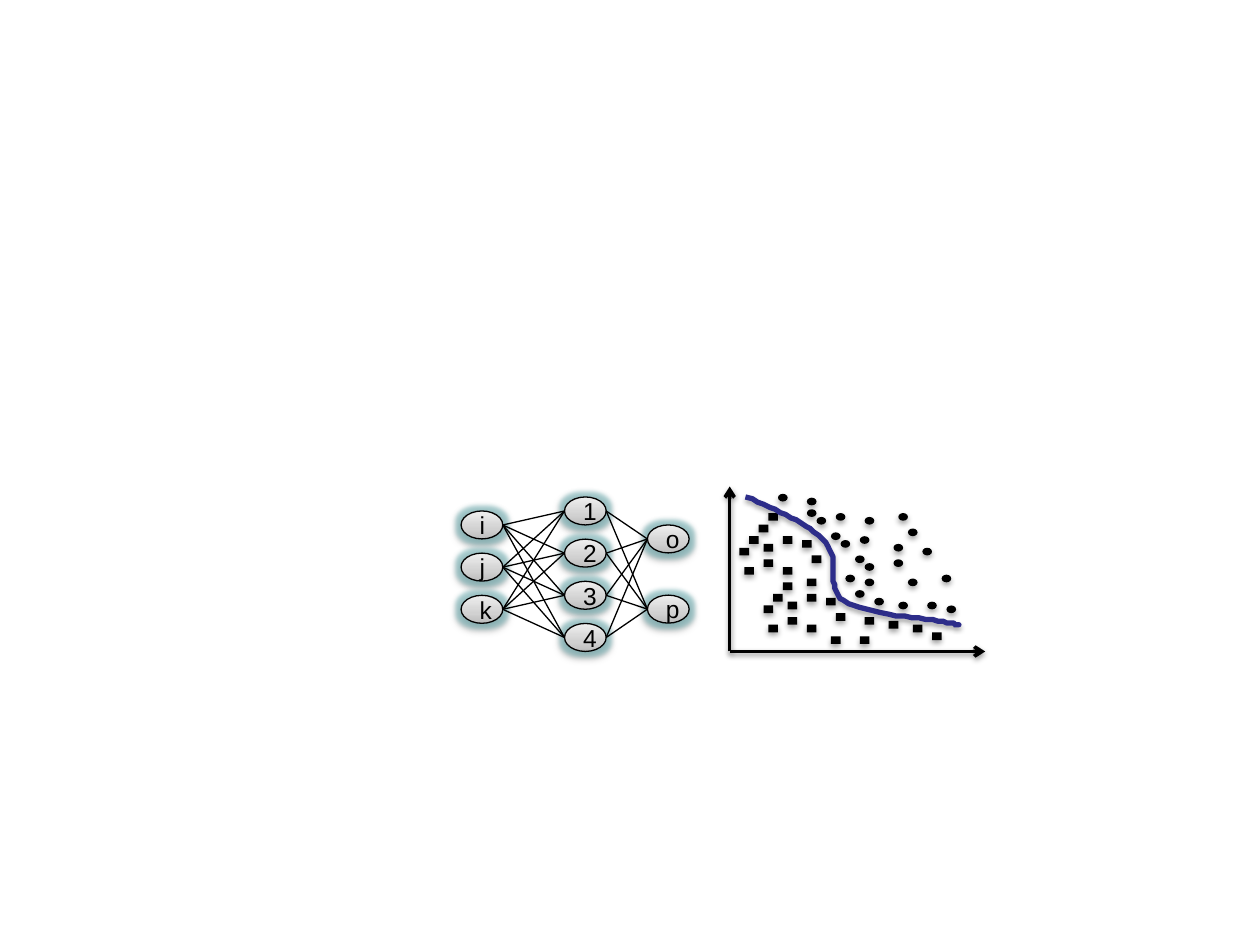
import lxml.etree
import pptx
import pptx.util
from pptx.dml.color import RGBColor
from pptx.enum.shapes import MSO_CONNECTOR, MSO_SHAPE
from pptx.enum.text import MSO_ANCHOR, PP_ALIGN
from pptx.oxml.ns import qn

Pt = pptx.util.Pt
BLACK = RGBColor(0x00, 0x00, 0x00)
CURVE = RGBColor(0x2D, 0x2D, 0x8A)
GLOW = RGBColor(0x7F, 0xBC, 0xC0)
NODE_STOPS = [(0, RGBColor(0xBD, 0xBD, 0xBD)), (35, RGBColor(0xD1, 0xD1, 0xD1)),
              (100, RGBColor(0xEE, 0xEE, 0xEE))]

# Network layers: left, first top, vertical pitch, labels
NODE_W, NODE_H = 23.8, 16
LAYERS = [(263.5, 292, 24.1, "ijk"), (322.6, 284, 24.1, "1234"), (370, 300, 40.1, "op")]

# Scatter points as column and row on a fine grid
GRID_X, GRID_Y, STEP_X, STEP_Y = 422.6, 282.2, 2.75, 2.2
DOT_W, DOT_H = 5.5, 4.4
SQUARES = [(2, 11), (0, 14), (5, 17), (1, 19), (14, 22), (9, 19), (6, 5), (4, 8), (9, 11),
           (5, 13), (13, 12), (15, 16), (7, 26), (5, 29), (10, 32), (6, 34), (19, 37),
           (14, 34), (9, 23), (14, 26), (10, 28), (18, 27), (20, 31), (26, 32), (31, 33),
           (36, 34), (40, 36), (25, 37)]
CIRCLES = [(8, 0), (14, 1), (14, 4), (16, 6), (20, 5), (26, 6), (19, 10), (21, 12), (25, 11),
           (32, 17), (24, 16), (26, 18), (22, 21), (24, 25), (26, 22), (28, 27), (33, 28),
           (39, 28), (43, 29), (32, 13), (35, 22), (42, 21), (38, 14), (35, 9), (33, 5)]

# Boundary: start point, then two control points and an end point per piece
START = (426.2, 283.7)
PIECES = [((444.2, 291.6), (462.2, 299.5), (471.6, 309.6)),
          ((481, 319.7), (470.9, 335.5), (482.4, 343.4)),
          ((493.9, 351.4), (530.6, 353.5), (541.4, 355.7)),
          ((551.5, 357.8), (548.6, 357.1), (545, 357.1))]


def add_color(parent, color, alpha):
    clr = lxml.etree.SubElement(parent, qn("a:srgbClr"), val=str(color))
    if alpha < 100:
        lxml.etree.SubElement(clr, qn("a:alpha"), val=str(alpha * 1000))


def add_effects(sp, shadow=None, glow=False):
    """Set effects; shadow is (opacity in percent, distance in points)."""
    spPr = sp.element.find(qn("p:spPr"))
    for old in spPr.findall(qn("a:effectLst")):
        spPr.remove(old)
    effects = lxml.etree.SubElement(spPr, qn("a:effectLst"))
    if glow:
        add_color(lxml.etree.SubElement(effects, qn("a:glow"), rad=str(Pt(5))), GLOW, 60)
    if shadow:
        alpha, dist = shadow
        outer = lxml.etree.SubElement(effects, qn("a:outerShdw"), blurRad=str(Pt(3.1)),
                                      dist=str(Pt(dist)), dir="5400000", rotWithShape="0")
        add_color(outer, BLACK, alpha)


def set_text(sp, text, size=14, font="Arial", color=BLACK):
    tf = sp.text_frame
    tf.word_wrap = True
    tf.vertical_anchor = MSO_ANCHOR.MIDDLE
    p = tf.paragraphs[0]
    p.alignment = PP_ALIGN.CENTER
    r = p.add_run()
    r.text = text
    r.font.size, r.font.name, r.font.color.rgb = Pt(size), font, color


def add_node(group, x, y, label):
    sp = group.shapes.add_shape(MSO_SHAPE.OVAL, Pt(x), Pt(y), Pt(NODE_W), Pt(NODE_H))
    sp.fill.gradient()
    sp.fill.gradient_angle = 90
    stops = sp.element.find(".//" + qn("a:gsLst"))
    for old in list(stops):
        stops.remove(old)
    for pos, color in NODE_STOPS:
        add_color(lxml.etree.SubElement(stops, qn("a:gs"), pos=str(pos * 1000)), color, 100)
    sp.line.color.rgb, sp.line.width = BLACK, Pt(0.75)
    add_effects(sp, shadow=(38, 1.6), glow=True)
    set_text(sp, label)


def add_line(group, x1, y1, x2, y2, width=0.75, arrow=False):
    line = group.shapes.add_connector(MSO_CONNECTOR.STRAIGHT, Pt(x1), Pt(y1), Pt(x2), Pt(y2))
    line.line.color.rgb, line.line.width = BLACK, Pt(width)
    if arrow:
        ln = line.element.find(".//" + qn("a:ln"))
        lxml.etree.SubElement(ln, qn("a:tailEnd"), type="arrow")
    add_effects(line, shadow=(38, 1.6) if arrow else None)


def add_dots(group, kind, cells):
    for col, row in cells:
        sp = group.shapes.add_shape(kind, Pt(GRID_X + col * STEP_X), Pt(GRID_Y + row * STEP_Y),
                                    Pt(DOT_W), Pt(DOT_H))
        sp.fill.solid()
        sp.fill.fore_color.rgb = BLACK
        sp.line.fill.background()
        add_effects(sp, shadow=(35, 1.8))


def bezier(p0, p1, p2, p3, steps=16):
    for i in range(1, steps + 1):
        t = i / steps
        u = 1 - t
        yield tuple(u**3 * a + 3 * u * u * t * b + 3 * u * t * t * c + t**3 * d
                    for a, b, c, d in zip(p0, p1, p2, p3))


def add_boundary(group):
    points, last = [], START
    for piece in PIECES:
        points += bezier(last, *piece)
        last = piece[-1]
    builder = group.shapes.build_freeform(*START, scale=float(Pt(1)))
    builder.add_line_segments(points, close=False)
    sp = builder.convert_to_shape()
    sp.fill.background()
    sp.line.color.rgb, sp.line.width = CURVE, Pt(3)
    add_effects(sp, shadow=(35, 1.8))


def add_network(s):
    group = s.shapes.add_group_shape()
    layers = [[(x, top + i * pitch, label) for i, label in enumerate(labels)]
              for x, top, pitch, labels in LAYERS]
    for layer in layers:
        for node in layer:
            add_node(group, *node)
    # Every node links to all nodes of the next layer
    for layer, following in zip(layers, layers[1:]):
        for x1, y1, _ in layer:
            for x2, y2, _ in following:
                add_line(group, x1 + NODE_W, y1 + NODE_H / 2, x2, y2 + NODE_H / 2)


def add_scatter(s):
    group = s.shapes.add_group_shape()
    add_dots(group, MSO_SHAPE.RECTANGLE, SQUARES)
    add_boundary(group)
    # Axes
    for end in [(417, 278), (563, 372.3)]:
        add_line(group, 417, 372.3, *end, width=2, arrow=True)
    add_dots(group, MSO_SHAPE.OVAL, CIRCLES)


def main():
    prs = pptx.Presentation()
    prs.slide_width, prs.slide_height = Pt(720), Pt(540)
    s = prs.slides.add_slide(prs.slide_layouts[6])
    add_network(s)
    add_scatter(s)
    prs.save("out.pptx")


main()
